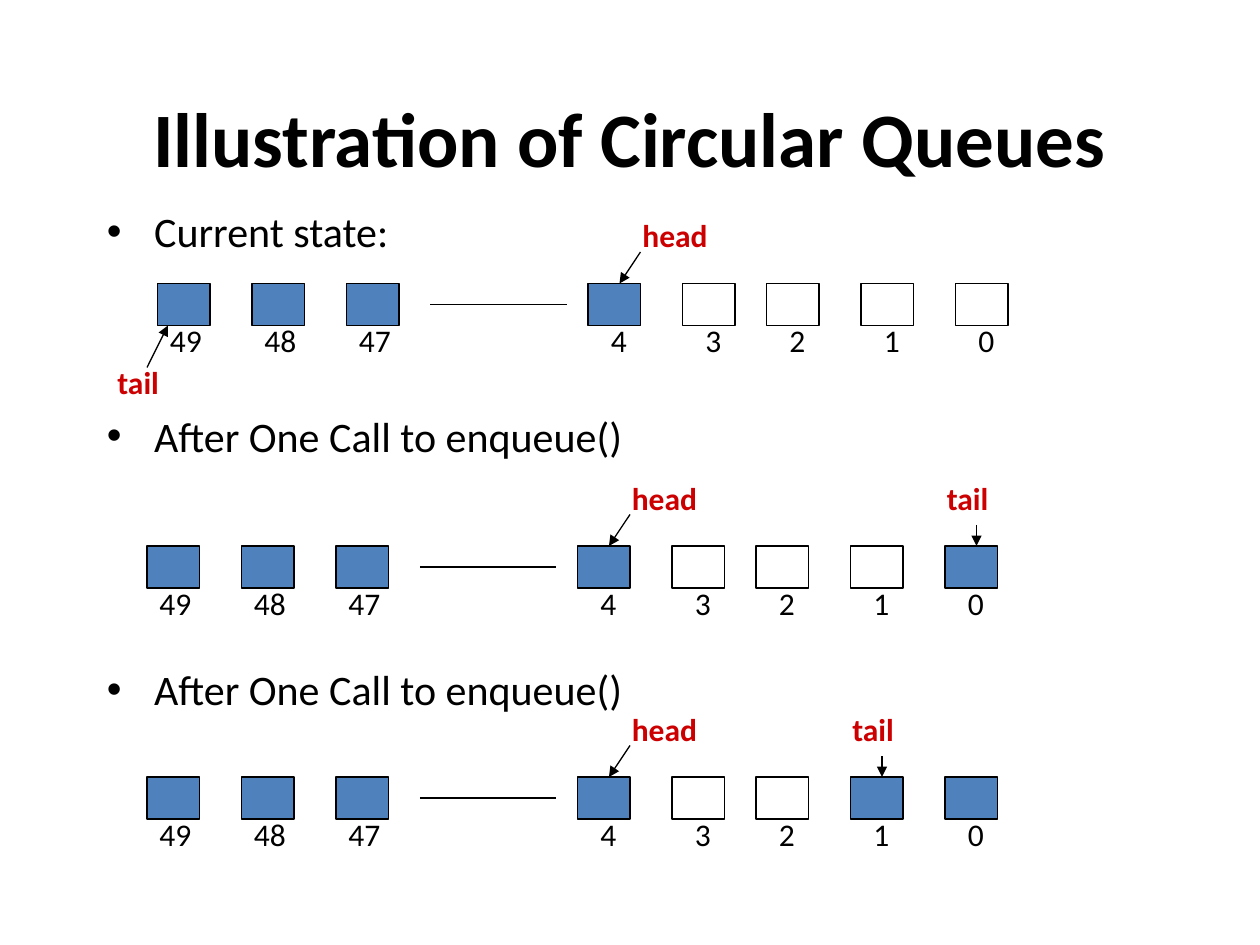
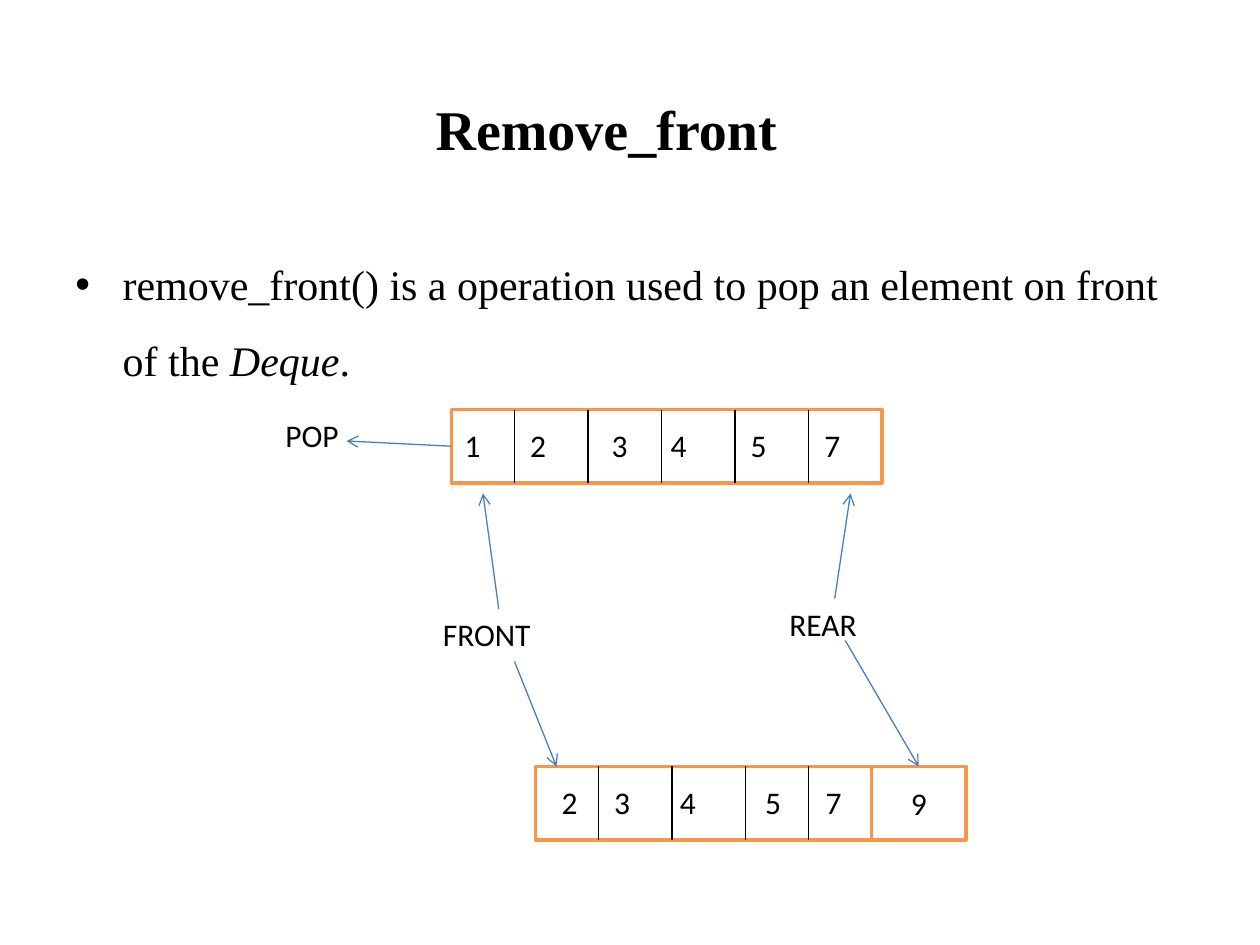
from dataclasses import dataclass
from typing import Any

from lxml.etree import SubElement
from pptx import Presentation
from pptx.dml.color import RGBColor
from pptx.enum.shapes import MSO_CONNECTOR, MSO_SHAPE
from pptx.enum.text import MSO_ANCHOR, PP_ALIGN
from pptx.oxml.ns import qn
from pptx.util import Emu, Pt

SCALE = 9525
HUES = {"ink": "000000", "mark": "CC0000", "full": "4F81BD",
        "edge": "F79646", "link": "4B7EBC", "page": "FFFFFF"}
SANS, SERIF = "Calibri", "Times New Roman"
PLAIN = {"name": SANS, "size": Pt(18), "bold": False}
BOLD = PLAIN | {"bold": True}
HEAD = BOLD | {"size": Pt(44)}
BODY = PLAIN | {"size": Pt(24)}
CELLS = {49: 0, 48: 72, 47: 144, 4: 328, 3: 400, 2: 464, 1: 536, 0: 608}


@dataclass
class Row:
    """One state of the queue."""
    left: int
    top: int
    full: set[int]
    tail: int


@dataclass
class Strip:
    """A deque box with its dividers and tabbed values."""
    left: int
    top: int
    width: int
    bars: list[int]
    text: str
    inset: int
    tabs: list[int]
    span: int


@dataclass
class Tag:
    """A short label."""
    text: str
    left: int
    top: int
    width: int


@dataclass
class Link:
    """A line between two points."""
    start: tuple[int, int]
    end: tuple[int, int]
    hue: str = "ink"
    tip: str = ""


ROWS = [Row(120, 216, {49, 48, 47, 4}, 49),
        Row(112, 416, {49, 48, 47, 4, 0}, 0),
        Row(112, 592, {49, 48, 47, 4, 1, 0}, 1)]
STRIPS = [Strip(344, 312, 328, [392, 448, 504, 560, 616], "1\t2\t3\t4\t5\t7",
                10, [50, 112, 157, 218, 274], 328),
          Strip(408, 584, 256, [456, 512, 568, 616], "2\t3\t4\t5\t7",
                20, [40, 90, 155, 201], 304)]
TAGS = [Tag("FRONT", 328, 464, 104), Tag("REAR", 592, 456, 88),
        Tag("POP", 208, 312, 72)]
LINKS = [Link(start, end, "link", "arrow") for start, end in [
    ((380, 464), (368, 376)), ((636, 456), (648, 376)),
    ((344, 340), (264, 336)), ((392, 504), (424, 584)),
    ((644, 488), (700, 584))]]


def px(*sizes: int) -> list[Emu]:
    """Turn px into EMU."""
    return [Emu(size * SCALE) for size in sizes]


def tint(hue: str) -> RGBColor:
    """Look up a colour."""
    return RGBColor.from_string(HUES[hue])


def write(para: Any, text: str, style: dict, hue: str = "ink") -> None:
    """Add a styled run to a paragraph."""
    run = para.add_run()
    run.text = text
    for key, value in style.items():
        setattr(run.font, key, value)
    run.font.color.rgb = tint(hue)


def frame(slide: Any, *area: int) -> Any:
    """Add a wrapping text box and return its frame."""
    box = slide.shapes.add_textbox(*px(*area)).text_frame
    box.word_wrap = True
    return box


def label(slide: Any, tag: Tag, style: dict = PLAIN, hue: str = "ink") -> None:
    """Draw a label."""
    box = frame(slide, tag.left, tag.top, tag.width, 38)
    write(box.paragraphs[0], tag.text, style, hue)


def title(slide: Any, text: str, area: tuple, style: dict) -> None:
    """Draw a slide title."""
    box = frame(slide, *area)
    box.vertical_anchor = MSO_ANCHOR.MIDDLE
    box.paragraphs[0].alignment = PP_ALIGN.CENTER
    write(box.paragraphs[0], text, style)


def bullet(para: Any) -> None:
    """Give a paragraph a hanging bullet."""
    props = para._p.get_or_add_pPr()
    props.set("marL", str(36 * SCALE))
    props.set("indent", str(-36 * SCALE))
    SubElement(props, qn("a:buFont"), typeface="Arial")
    SubElement(props, qn("a:buChar"), char="•")


def block(slide: Any, area: tuple, fill: str, edge: str, weight: float) -> Any:
    """Draw a rectangle."""
    shape = slide.shapes.add_shape(MSO_SHAPE.RECTANGLE, *px(*area))
    shape.shadow.inherit = False
    if fill:
        shape.fill.solid()
        shape.fill.fore_color.rgb = tint(fill)
    else:
        shape.fill.background()
    shape.line.color.rgb = tint(edge)
    shape.line.width = Pt(weight)
    return shape


def join(slide: Any, link: Link) -> None:
    """Draw a line or an arrow."""
    line = slide.shapes.add_connector(
        MSO_CONNECTOR.STRAIGHT, *px(*link.start, *link.end))
    line.line.color.rgb = tint(link.hue)
    line.line.width = Pt(0.75)
    props = line.element.spPr
    if link.tip:
        SubElement(props.find(qn("a:ln")), qn("a:tailEnd"), type=link.tip)
    SubElement(props, qn("a:effectLst"))


def queue(slide: Any, row: Row) -> None:
    """Draw a queue state with its head and tail marks."""
    left, top = row.left, row.top
    for slot, shift in CELLS.items():
        spot = left + shift
        block(slide, (spot, top, 40, 32),
              "full" if slot in row.full else "", "ink", 0.75)
        wide = slot > 9
        label(slide, Tag(str(slot), spot + (0 if wide else 8), top + 24,
                         56 if wide else 36))
    join(slide, Link((left + 208, top + 16), (left + 312, top + 16)))
    label(slide, Tag("head", left + 360, top - 56, 86), BOLD, "mark")
    join(slide, Link((left + 368, top - 24), (left + 352, top),
                     tip="triangle"))
    spot = left + CELLS[row.tail]
    if row.tail == 49:
        tag = Tag("tail", spot - 40, top + 56, 64)
        link = Link((spot - 8, top + 64), (spot + 8, top + 32), tip="triangle")
    else:
        tag = Tag("tail", spot - 8, top - 56, 64)
        link = Link((spot + 24, top - 16), (spot + 24, top), tip="triangle")
    label(slide, tag, BOLD, "mark")
    join(slide, link)


def deque(slide: Any, strip: Strip) -> None:
    """Draw a deque strip with its values."""
    block(slide, (strip.left, strip.top, strip.width, 56), "page", "edge", 2)
    for bar in strip.bars:
        join(slide, Link((bar, strip.top), (bar, strip.top + 56)))
    box = frame(slide, strip.left, strip.top + 8, strip.span, 38)
    box.margin_left = Emu(strip.inset * SCALE)
    para = box.paragraphs[0]
    stops = SubElement(para._p.get_or_add_pPr(), qn("a:tabLst"))
    for tab in strip.tabs:
        SubElement(stops, qn("a:tab"), pos=str(tab * SCALE), algn="l")
    write(para, strip.text, PLAIN)


def rings(slide: Any) -> None:
    """Build the circular queue slide."""
    title(slide, "Illustration of Circular Queues", (72, 64, 816, 80), HEAD)
    box = frame(slide, 72, 152, 816, 488)
    call = "After One Call to enqueue()"
    for step, (text, gap) in enumerate(
            [("Current state:", 0), (call, 88), (call, 116)]):
        para = box.add_paragraph() if step else box.paragraphs[0]
        bullet(para)
        para.space_before = Pt(gap)
        write(para, text, BODY)
    for row in ROWS:
        queue(slide, row)


def front(slide: Any) -> None:
    """Build the front removal slide."""
    title(slide, "Remove_front", (30, 60, 864, 75),
          HEAD | {"name": SERIF, "size": Pt(32)})
    para = frame(slide, 48, 173, 864, 492).paragraphs[0]
    bullet(para)
    para.line_spacing = 1.5
    style = BODY | {"name": SERIF}
    write(para, "remove_front() is a operation used to pop an element "
          "on front of the ", style)
    write(para, "Deque", style | {"italic": True})
    write(para, ".", style)
    for strip in STRIPS:
        deque(slide, strip)
    for tag in TAGS:
        label(slide, tag)
    last = block(slide, (664, 584, 72, 56), "page", "edge", 2).text_frame
    last.vertical_anchor = MSO_ANCHOR.MIDDLE
    last.paragraphs[0].alignment = PP_ALIGN.CENTER
    write(last.paragraphs[0], "9", PLAIN)
    for link in LINKS:
        join(slide, link)


def main() -> None:
    """Build and save the deck."""
    deck = Presentation()
    deck.slide_width, deck.slide_height = px(960, 720)
    for build in (rings, front):
        build(deck.slides.add_slide(deck.slide_layouts[6]))
    deck.save("out.pptx")


if __name__ == "__main__":
    main()
